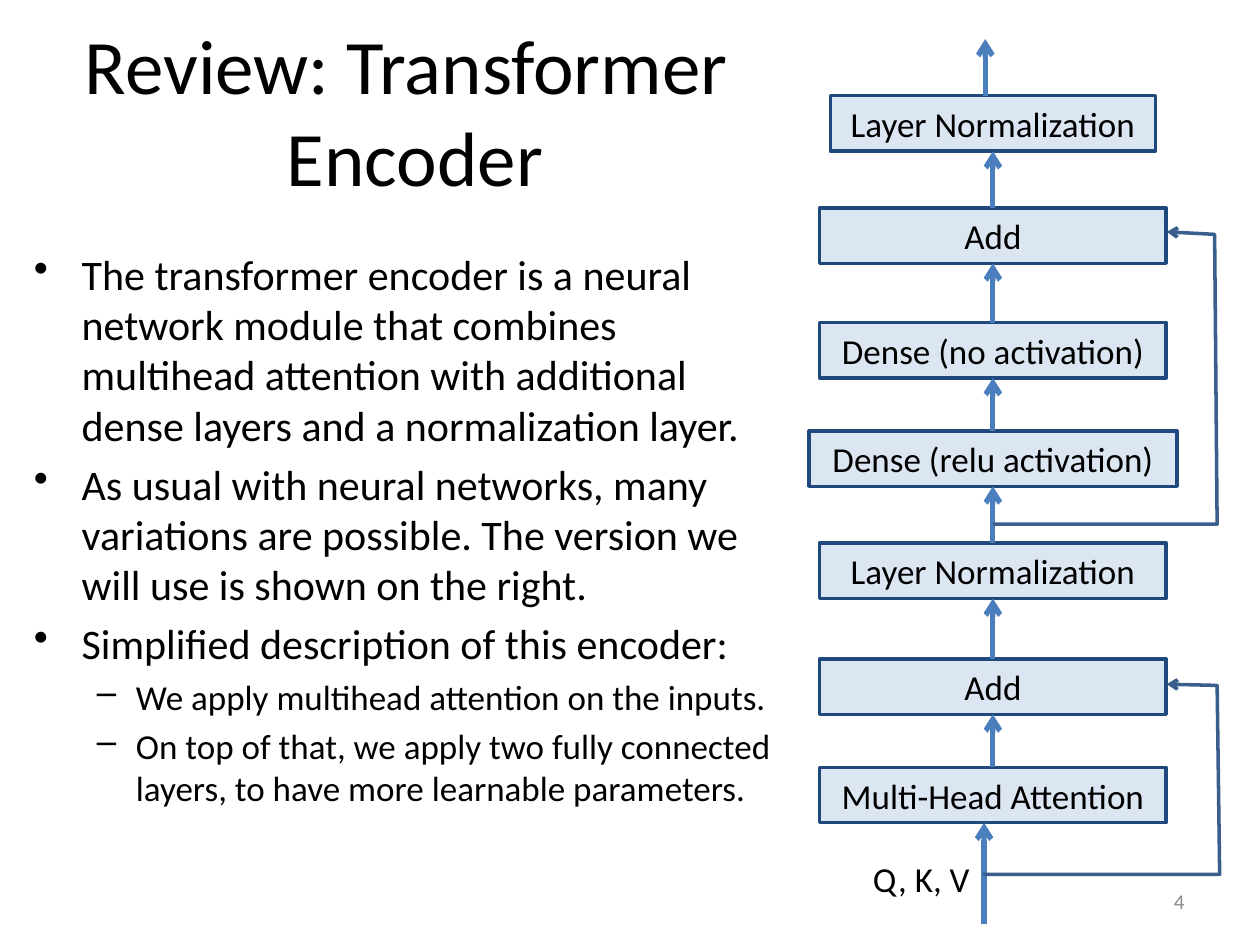
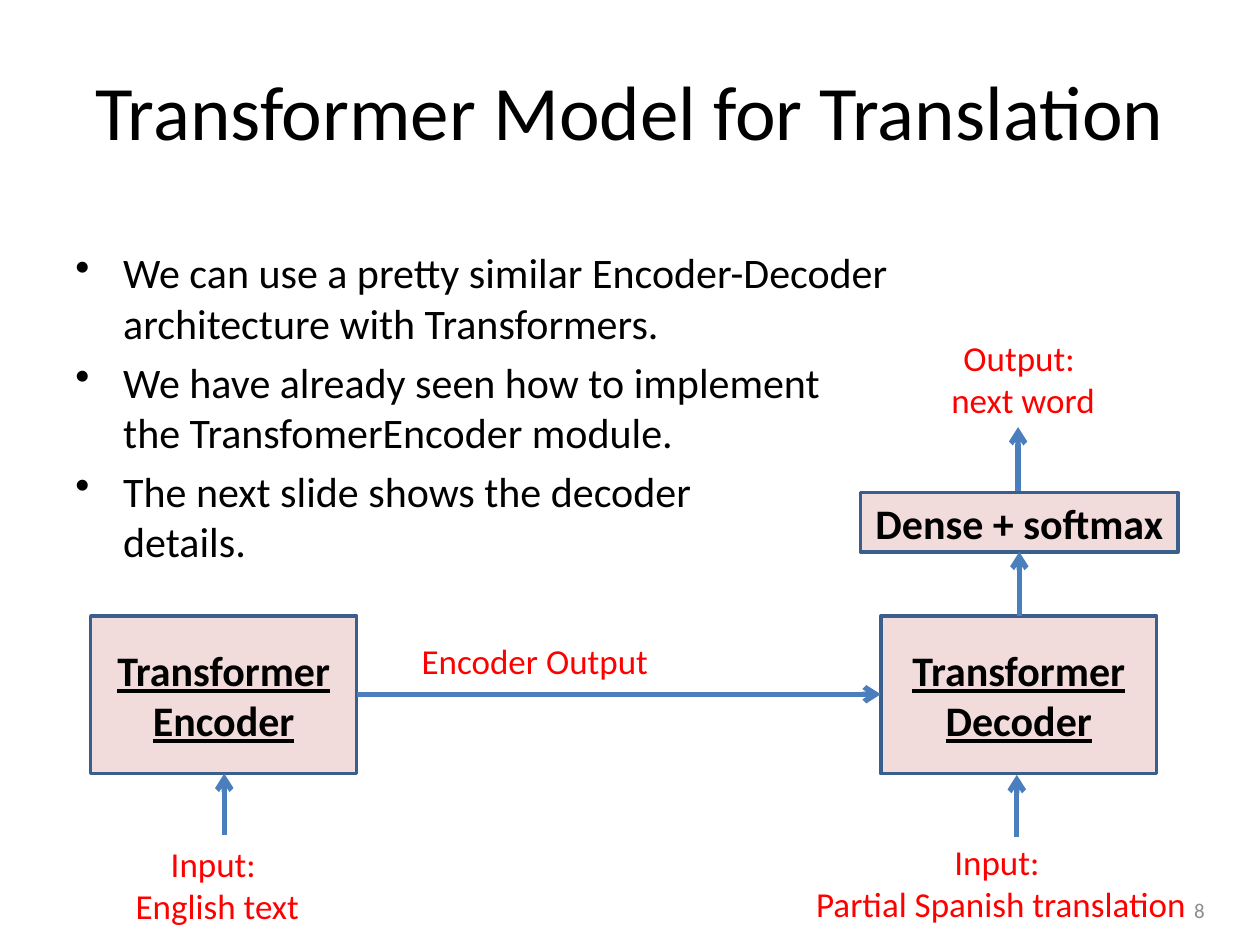
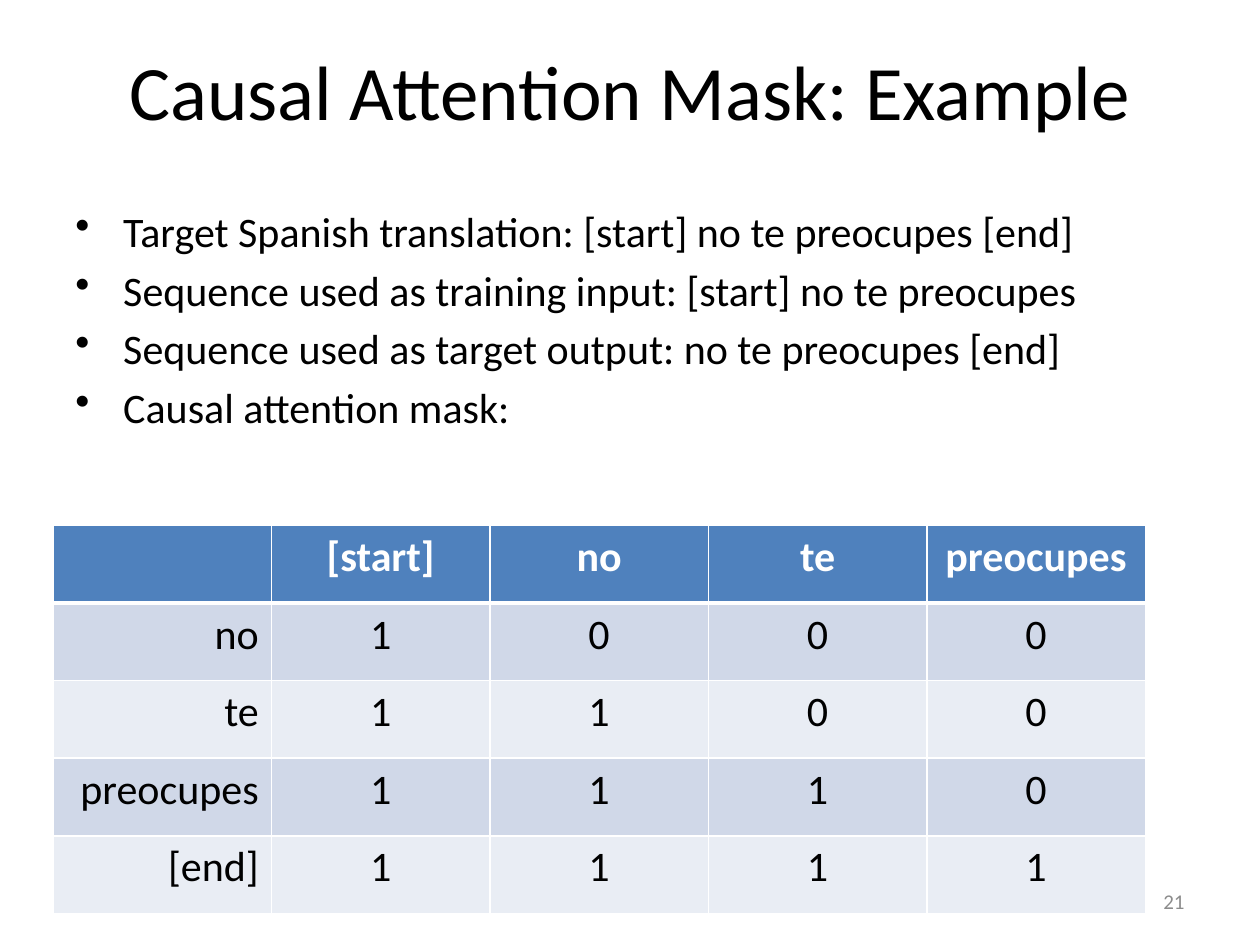
from itertools import pairwise

from lxml import etree
from pptx import Presentation
from pptx.dml import color
from pptx.enum import shapes, text
from pptx.oxml import ns
from pptx import util as u

# Shared palette
BLACK, WHITE, RED, GRAY = "000000", "FFFFFF", "FF0000", "8C8C8C"
PALE_BLUE, NAVY = "DCE6F2", "1F497D"
PALE_RED, STEEL, ARROW_BLUE = "F2DCDB", "3A5F8C", "4B7EBC"
HEADER_BLUE, BANDS = "4F81BD", ("D0D8E8", "E9EDF4")

LEFT, CENTER, RIGHT = text.PP_ALIGN.LEFT, text.PP_ALIGN.CENTER, text.PP_ALIGN.RIGHT
TOP, MIDDLE = text.MSO_ANCHOR.TOP, text.MSO_ANCHOR.MIDDLE


def rgb(value):
    return color.RGBColor.from_string(value)


def add_element(parent, tag, **attributes):
    return etree.SubElement(parent, ns.qn(tag), attributes)


class Deck:
    """Holds the presentation, its style and the current slide."""

    font_name = "Calibri"
    # Indent, hanging width, size and mark of each bullet level
    bullet_levels = ((0.38, 0.38, 24, "•"), (0.81, 0.31, 20, "–"))

    def __init__(self):
        self.presentation = Presentation()
        self.presentation.slide_width = u.Inches(10)
        self.presentation.slide_height = u.Inches(7.5)
        self.slide = None

    def start_slide(self, title, number, title_at=(0.5, 0.33, 9, 1.08),
                    number_at=(7.17, 6.95, 2.33, 0.4)):
        self.slide = self.presentation.slides.add_slide(self.presentation.slide_layouts[6])
        self.label(title_at, title, 44, anchor=MIDDLE)
        self.label(number_at, number, 12, GRAY, RIGHT, MIDDLE)

    def style(self, paragraph, size, font_color=BLACK, align=CENTER, bold=False, underline=False):
        paragraph.alignment = align
        font = paragraph.font
        font.name, font.size, font.bold = self.font_name, u.Pt(size), bold
        font.underline = underline
        font.color.rgb = rgb(font_color)

    def text_frame(self, at, anchor=TOP):
        frame = self.slide.shapes.add_textbox(*map(u.Inches, at)).text_frame
        frame.word_wrap = True
        frame.vertical_anchor = anchor
        return frame

    def label(self, at, words, size=20, font_color=BLACK, align=CENTER, anchor=TOP):
        paragraph = self.text_frame(at, anchor).paragraphs[0]
        paragraph.text = words
        self.style(paragraph, size, font_color, align)

    def bullets(self, at, items):
        frame = self.text_frame(at)
        for index, (level, words) in enumerate(items):
            paragraph = frame.add_paragraph() if index else frame.paragraphs[0]
            indent, hanging, size, mark = self.bullet_levels[level]
            paragraph.text = words
            paragraph.level = level
            properties = paragraph._p.get_or_add_pPr()
            properties.set("marL", str(u.Inches(indent)))
            properties.set("indent", str(-u.Inches(hanging)))
            add_element(properties, "a:buChar", char=mark)
            if index:
                paragraph.space_before = u.Pt(0.2 * size)
            self.style(paragraph, size, align=LEFT)

    def box(self, at, words, fill, line, size=20, bold=False, underline=False):
        shape = self.slide.shapes.add_shape(shapes.MSO_SHAPE.RECTANGLE, *map(u.Inches, at))
        shape.shadow.inherit = False
        shape.fill.solid()
        shape.fill.fore_color.rgb = rgb(fill)
        self.outline(shape, line, 2)
        shape.text_frame.word_wrap = True
        shape.text_frame.vertical_anchor = MIDDLE
        paragraph = shape.text_frame.paragraphs[0]
        paragraph.text = words
        self.style(paragraph, size, bold=bold, underline=underline)

    def outline(self, shape, line_color, width, arrow=False):
        shape.line.color.rgb = rgb(line_color)
        shape.line.width = u.Pt(width)
        if arrow:
            add_element(shape.element.spPr.get_or_add_ln(), "a:tailEnd", type="arrow")

    def arrow(self, *ends):
        connector = self.slide.shapes.add_connector(
            shapes.MSO_CONNECTOR.STRAIGHT, *map(u.Inches, ends))
        self.outline(connector, ARROW_BLUE, 3, arrow=True)
        add_element(connector.element.spPr, "a:effectLst")

    def bent_arrow(self, *points):
        start, *rest = [(u.Inches(x), u.Inches(y)) for x, y in points]
        builder = self.slide.shapes.build_freeform(*start)
        builder.add_line_segments(rest, close=False)
        shape = builder.convert_to_shape()
        shape.shadow.inherit = False
        shape.fill.background()
        self.outline(shape, STEEL, 2, arrow=True)

    def table(self, at, rows):
        left, top, width, height = map(u.Inches, at)
        table = self.slide.shapes.add_table(
            len(rows), len(rows[0]), left, top, width, height).table
        for row_index, row in enumerate(rows):
            header = row_index == 0
            # A thick rule parts the header from the body
            edges = {"L": 1, "R": 1, "T": 3 if row_index == 1 else 1, "B": 3 if header else 1}
            for column_index, words in enumerate(row):
                cell = table.cell(row_index, column_index)
                self.borders(cell, edges)
                cell.fill.solid()
                cell.fill.fore_color.rgb = rgb(
                    HEADER_BLUE if header else BANDS[(row_index - 1) % 2])
                paragraph = cell.text_frame.paragraphs[0]
                paragraph.text = words
                self.style(paragraph, 24, WHITE if header else BLACK,
                           CENTER if header or column_index else RIGHT, bold=header)

    def borders(self, cell, edges):
        properties = cell._tc.get_or_add_tcPr()
        for side, width in edges.items():
            line = add_element(properties, f"a:ln{side}", w=str(u.Pt(width)))
            add_element(add_element(line, "a:solidFill"), "a:srgbClr", val=WHITE)


def encoder_slide(deck):
    deck.start_slide("Review: Transformer \nEncoder", "4", title_at=(0.17, 0.33, 6.25, 1.08))
    deck.bullets((0.17, 1.92, 6.08, 5), [
        (0, "The transformer encoder is a neural network module that combines multihead "
            "attention with additional dense layers and a normalization layer."),
        (0, "As usual with neural networks, many variations are possible. The version we "
            "will use is shown on the right."),
        (0, "Simplified description of this encoder:"),
        (1, "We apply multihead attention on the inputs."),
        (1, "On top of that, we apply two fully connected layers, to have more learnable "
            "parameters."),
    ])

    # Layer stack, from input to output
    middle, layer_height = 7.88, 0.44
    layers = [
        ("Multi-Head Attention", 6.09, 2.75),
        ("Add", 5.23, 2.75),
        ("Layer Normalization", 4.31, 2.75),
        ("Dense (relu activation)", 3.42, 2.92),
        ("Dense (no activation)", 2.56, 2.75),
        ("Add", 1.65, 2.75),
        ("Layer Normalization", 0.76, 2.58),
    ]
    for name, top, width in layers:
        deck.box((middle - width / 2, top, width, layer_height), name, PALE_BLUE, NAVY)
    for (_, lower_top, _), (_, upper_top, _) in pairwise(layers):
        deck.arrow(middle, lower_top, middle, upper_top + layer_height)

    # Input, output and skip connections
    deck.label((6.83, 6.76, 1.17, 0.44), "Q, K, V", align=LEFT)
    deck.arrow(7.81, 7.33, 7.81, 6.53)
    deck.arrow(7.82, 0.76, 7.82, 0.31)
    deck.bent_arrow((7.8, 6.94), (9.68, 6.94), (9.66, 5.44), (9.26, 5.43))
    deck.bent_arrow((middle, 4.16), (9.66, 4.16), (9.64, 1.86), (9.26, 1.84))


def translation_slide(deck):
    deck.start_slide("Transformer Model for Translation", "8", number_at=(7.33, 7.02, 2.33, 0.4))
    deck.bullets((0.5, 1.91, 9, 1.49), [
        (0, "We can use a pretty similar Encoder-Decoder \narchitecture with Transformers."),
        (0, "We have already seen how to implement \nthe TransfomerEncoder module."),
        (0, "The next slide shows the decoder \ndetails."),
    ])

    # Model blocks
    for at, name, underline in [
        ((0.72, 4.89, 2.11, 1.25), "Transformer Encoder", True),
        ((6.99, 4.89, 2.19, 1.25), "Transformer Decoder", True),
        ((6.83, 3.91, 2.52, 0.47), "Dense + softmax", False),
    ]:
        deck.box(at, name, PALE_RED, STEEL, 24, bold=True, underline=underline)

    # Data flowing between the blocks
    for at, words in [
        ((2.75, 5.03, 2.99, 0.44), "Encoder Output"),
        ((6.83, 2.62, 2.58, 0.77), "Output: \nnext word"),
        ((0.89, 6.64, 1.67, 0.77), "Input: \nEnglish text"),
        ((6.33, 6.62, 3.23, 0.77), "Input: \nPartial Spanish translation"),
    ]:
        deck.label(at, words, font_color=RED)
    deck.arrow(2.83, 5.51, 6.99, 5.51)
    for x, start, end in [(1.78, 6.63, 6.14), (8.07, 6.64, 6.15),
                          (8.09, 4.89, 4.38), (8.08, 3.9, 3.39)]:
        deck.arrow(x, start, x, end)


def mask_slide(deck):
    deck.start_slide("Causal Attention Mask: Example", "21", title_at=(0.5, 0.17, 9, 1.08))
    deck.bullets((0.5, 1.58, 9, 5.33), [
        (0, "Target Spanish translation: [start] no te preocupes [end]"),
        (0, "Sequence used as training input: [start] no te preocupes"),
        (0, "Sequence used as target output: no te preocupes [end]"),
        (0, "Causal attention mask:"),
    ])

    # Each output word attends to the inputs up to its own position
    sequence = ["[start]", "no", "te", "preocupes", "[end]"]
    inputs, outputs = sequence[:-1], sequence[1:]
    mask = [[word] + [str(int(column <= row)) for column in range(len(inputs))]
            for row, word in enumerate(outputs)]
    deck.table((0.42, 4.17, 8.67, 3.08), [["", *inputs], *mask])


def main():
    deck = Deck()
    encoder_slide(deck)
    translation_slide(deck)
    mask_slide(deck)
    deck.presentation.save("out.pptx")


if __name__ == "__main__":
    main()
